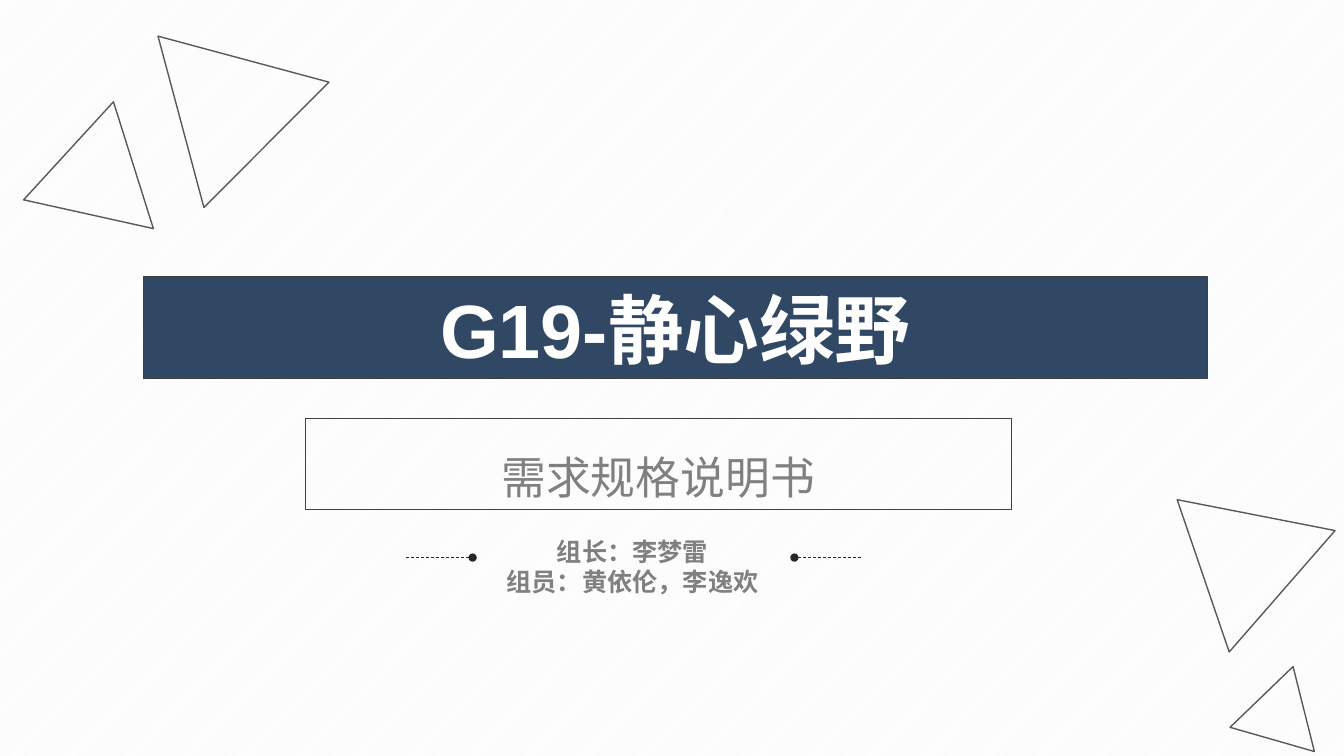
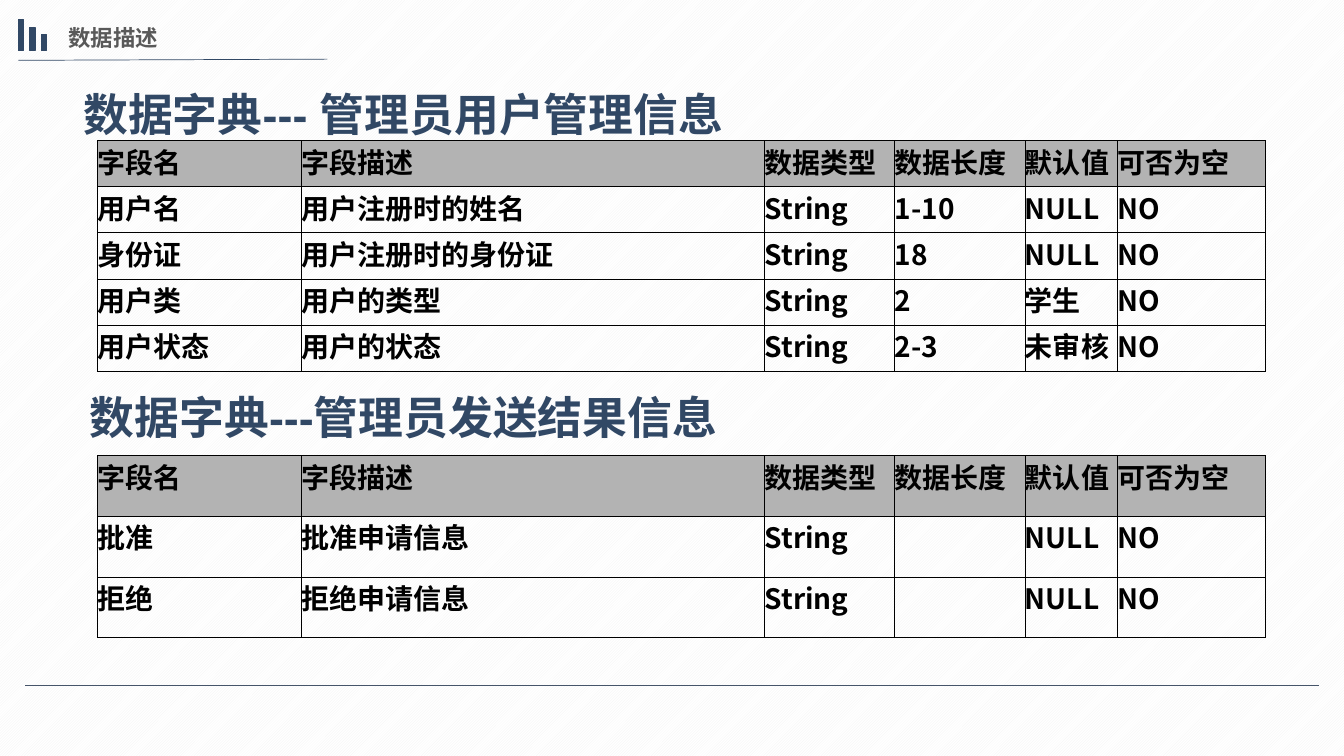
"""Build the requirements cover slide and the data dictionary slide."""
from lxml import etree
from pptx import Presentation
from pptx.dml.color import RGBColor
from pptx.enum.dml import MSO_LINE, MSO_PATTERN
from pptx.enum.shapes import MSO_CONNECTOR, MSO_SHAPE
from pptx.enum.text import MSO_ANCHOR, MSO_AUTO_SIZE, PP_ALIGN
from pptx.oxml.ns import qn
from pptx.util import Cm, Pt

NAVY = RGBColor(0x31, 0x48, 0x65)
SLATE = RGBColor(0x46, 0x55, 0x6A)
BLACK = RGBColor(0, 0, 0)
INK = RGBColor(0x26, 0x26, 0x26)
CHARCOAL = RGBColor(0x40, 0x40, 0x40)
DARK_GRAY = RGBColor(0x59, 0x59, 0x59)
GRAY = RGBColor(0x80, 0x80, 0x80)
HEADER_GRAY = RGBColor(0xB3, 0xB3, 0xB3)
STRIPE = RGBColor(0xF2, 0xF2, 0xF2)
WHITE = RGBColor(0xFF, 0xFF, 0xFF)
TEXT_FONT = "Arial"
TABLE_FONT = "Noto Sans CJK SC"

PROJECT = "G19-静心绿野"
DOCUMENT = "需求规格说明书"
TEAM = ["组长：李梦雷", "组员：黄依伦，李逸欢"]
TRIANGLES = [
    (4.19, 0.64, 4.47, 3.86, 75),
    (28.96, 11.99, 4.06, 3.51, 311.1),
    (31.22, 16.76, 2.21, 1.91, 16),
    (1.12, 3.33, 3.35, 2.9, 132.5),
]
TEAM_DASHES = [(11.91, 10.21), (20.02, 21.72)]

SECTION = "数据描述"
BAR_HEIGHTS = [0.79, 0.58, 0.41]
FIELDS = ["字段名", "字段描述", "数据类型", "数据长度", "默认值", "可否为空"]
COLUMN_WIDTHS = [5.14, 11.67, 3.28, 3.28, 2.34, 3.73]
DICTIONARIES = [
    {
        "heading": "数据字典--- 管理员用户管理信息",
        "heading_at": (1.85, 0.71, 31.37, 3),
        "table_top": 3.55,
        "row_height": 1.16,
        "entries": [
            ["用户名", "用户注册时的姓名", "String", "1-10", "NULL", "NO"],
            ["身份证", "用户注册时的身份证", "String", "18", "NULL", "NO"],
            ["用户类", "用户的类型", "String", "2", "学生", "NO"],
            ["用户状态", "用户的状态", "String", "2-3", "未审核", "NO"],
        ],
    },
    {
        "heading": "数据字典---管理员发送结果信息",
        "heading_at": (2.01, 8.33, 31.37, 3),
        "table_top": 11.48,
        "row_height": 1.53,
        "entries": [
            ["批准", "批准申请信息", "String", "", "NULL", "NO"],
            ["拒绝", "拒绝申请信息", "String", "", "NULL", "NO"],
        ],
    },
]


def place(shape, left, top, width, height):
    shape.left, shape.top = Cm(left), Cm(top)
    shape.width, shape.height = Cm(width), Cm(height)


def write(frame, lines, size, color, bold=True, align=PP_ALIGN.LEFT,
          spacing=1.0, font=TEXT_FONT):
    for index, line in enumerate(lines):
        paragraph = frame.add_paragraph() if index else frame.paragraphs[0]
        paragraph.alignment = align
        paragraph.line_spacing = spacing
        paragraph.space_before = Pt(0)
        run = paragraph.add_run()
        run.text = line
        run.font.size = Pt(size)
        run.font.bold = bold
        run.font.name = font
        run.font.color.rgb = color
        east_asian = etree.Element(qn("a:ea"), typeface=font)
        run.font._element.find(qn("a:latin")).addnext(east_asian)


def prepare(frame, anchor=MSO_ANCHOR.TOP, inset=None):
    frame.word_wrap = True
    frame.auto_size = MSO_AUTO_SIZE.NONE
    frame.vertical_anchor = anchor
    if inset is not None:
        frame.margin_left = frame.margin_right = Cm(inset)
        frame.margin_top = frame.margin_bottom = Cm(inset)
    return frame


def outline(shape, color, width):
    shape.line.color.rgb = color
    shape.line.width = Pt(width)


def add_outlined(slide, kind, box, color, fill=None):
    shape = slide.shapes.add_shape(kind, *map(Cm, box))
    shape.shadow.inherit = False
    if fill is None:
        shape.fill.background()
    else:
        shape.fill.solid()
        shape.fill.fore_color.rgb = fill
    outline(shape, color, 1)
    return shape


def add_rule(slide, start, end, color, width):
    rule = slide.shapes.add_connector(
        MSO_CONNECTOR.STRAIGHT, *map(Cm, start + end))
    outline(rule, color, width)
    etree.SubElement(rule._element.spPr, qn("a:effectLst"))
    return rule


def add_text(slide, box):
    return slide.shapes.add_textbox(*map(Cm, box)).text_frame


def border_cell(cell):
    properties = cell._tc.get_or_add_tcPr()
    for index, side in enumerate(("lnL", "lnR", "lnT", "lnB")):
        edge = etree.Element(qn("a:" + side), w=str(Pt(0.75)))
        fill = etree.SubElement(edge, qn("a:solidFill"))
        etree.SubElement(fill, qn("a:srgbClr"), val=str(BLACK))
        properties.insert(index, edge)


def add_dictionary(slide, dictionary):
    heading = prepare(add_text(slide, dictionary["heading_at"]))
    write(heading, [dictionary["heading"]], 32, NAVY, spacing=2.0)

    rows = [FIELDS] + dictionary["entries"]
    height = dictionary["row_height"]
    table = slide.shapes.add_table(
        len(rows), len(FIELDS), Cm(2.46), Cm(dictionary["table_top"]),
        Cm(sum(COLUMN_WIDTHS)), Cm(height * len(rows))).table
    table.first_row = table.horz_banding = False
    for column, width in zip(table.columns, COLUMN_WIDTHS):
        column.width = Cm(width)
    for row_index, values in enumerate(rows):
        table.rows[row_index].height = Cm(height)
        for column_index, value in enumerate(values):
            cell = table.cell(row_index, column_index)
            cell.margin_left = cell.margin_right = 0
            cell.margin_top = cell.margin_bottom = 0
            if row_index == 0:
                cell.fill.solid()
                cell.fill.fore_color.rgb = HEADER_GRAY
            else:
                cell.fill.background()
            border_cell(cell)
            if value:
                write(cell.text_frame, [value], 20, BLACK, font=TABLE_FONT)


def build_cover(prs):
    slide = prs.slides.add_slide(prs.slide_layouts[0])
    title, subtitle = slide.placeholders
    place(title, 3.61, 6.98, 26.82, 2.57)
    title.fill.solid()
    title.fill.fore_color.rgb = NAVY
    place(subtitle, 7.7, 10.54, 17.78, 2.31)
    for banner in (title, subtitle):
        outline(banner, CHARCOAL, 0.75)
    write(prepare(title.text_frame, MSO_ANCHOR.MIDDLE), [PROJECT], 54, WHITE,
          align=PP_ALIGN.CENTER)
    write(prepare(subtitle.text_frame), [DOCUMENT], 32, GRAY, bold=False,
          align=PP_ALIGN.CENTER, spacing=1.5)

    team = prepare(add_text(slide, (12.22, 13.51, 7.44, 1.55)), inset=0)
    write(team, TEAM, 18, GRAY, align=PP_ALIGN.CENTER)
    for inner, outer in TEAM_DASHES:
        dash = add_rule(slide, (inner, 14.05), (outer, 14.05), INK, 0.5)
        dash.line.dash_style = MSO_LINE.DASH
        etree.SubElement(dash.line._get_or_add_ln(), qn("a:headEnd"),
                         type="oval")
    for *box, angle in TRIANGLES:
        triangle = add_outlined(
            slide, MSO_SHAPE.ISOSCELES_TRIANGLE, box, DARK_GRAY)
        triangle.rotation = angle


def build_data_description(prs):
    slide = prs.slides.add_slide(prs.slide_layouts[5])
    title = slide.shapes.title
    place(title, 1.47, 0.48, 6.76, 0.94)
    write(prepare(title.text_frame, MSO_ANCHOR.MIDDLE), [SECTION], 16,
          DARK_GRAY, align=PP_ALIGN.JUSTIFY)
    add_rule(slide, (0.46, 1.52), (8.25, 1.49), NAVY, 0.5)
    for index, height in enumerate(BAR_HEIGHTS):
        add_outlined(slide, MSO_SHAPE.RECTANGLE,
                     (0.46 + 0.29 * index, 1.28 - height, 0.13, height),
                     NAVY, NAVY)
    for dictionary in DICTIONARIES:
        add_dictionary(slide, dictionary)
    add_rule(slide, (0.64, 17.27), (33.25, 17.27), SLATE, 0.75)


def main():
    prs = Presentation()
    prs.slide_width, prs.slide_height = Cm(33.87), Cm(19.05)
    backdrop = prs.slide_master.background.fill
    backdrop.patterned()
    backdrop.pattern = MSO_PATTERN.DARK_UPWARD_DIAGONAL
    backdrop.fore_color.rgb = STRIPE
    backdrop.back_color.rgb = WHITE
    build_cover(prs)
    build_data_description(prs)
    prs.save("out.pptx")


if __name__ == "__main__":
    main()
